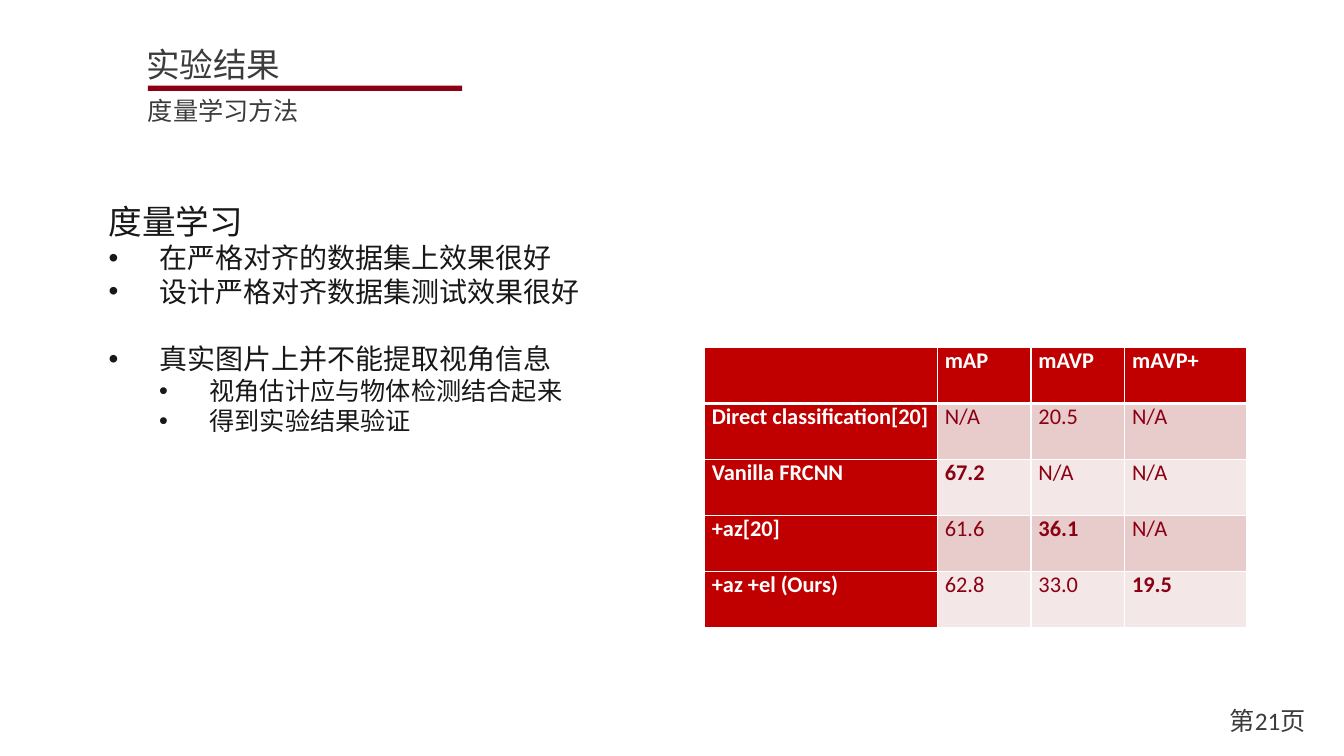
from dataclasses import dataclass

from lxml.etree import SubElement
from pptx import Presentation
from pptx.dml.color import RGBColor as RGB
from pptx.enum.shapes import MSO_SHAPE as Shape
from pptx.enum.text import MSO_ANCHOR as Anchor, MSO_AUTO_SIZE as AutoSize, PP_ALIGN as Align
from pptx.oxml import parse_xml
from pptx.oxml.ns import nsdecls, qn
from pptx.util import Cm, Pt

TITLE = "实验结果"
SUBTITLE = "度量学习方法"
PAGE = "第21页"
HEADING = "度量学习"
BULLETS = [
    (0, 0, "在严格对齐的数据集上效果很好"),
    (0, 0, "设计严格对齐数据集测试效果很好"),
    (0, 24, "真实图片上并不能提取视角信息"),
    (1, 0, "视角估计应与物体检测结合起来"),
    (1, 0, "得到实验结果验证"),
]
RESULTS = [
    ["", "mAP", "mAVP", "mAVP+"],
    ["Direct classification[20]", "N/A", "20.5", "N/A"],
    ["Vanilla FRCNN", "67.2", "N/A", "N/A"],
    ["+az[20]", "61.6", "36.1", "N/A"],
    ["+az +el (Ours)", "62.8", "33.0", "19.5"],
]
BEST = {"67.2", "36.1", "19.5"}
COL_WIDTHS = [5.87, 2.36, 2.36, 3.07]
ROW_HEIGHT = 1.41
INDENT = 1.27


@dataclass(frozen=True)
class Theme:
    """Colours, fonts and type sizes of the slide."""
    grey: str = "3C3C3C"
    ink: str = "181818"
    crimson: str = "8B0012"
    red: str = "C00000"
    white: str = "FFFFFF"
    bands: tuple = ("F4E7E7", "E8CCCC")
    cjk: str = "Noto Sans CJK SC"
    body: str = "Arial"
    latin: str = "Calibri"
    title: int = 24
    bullet: int = 20
    small: int = 18
    cell: int = 16


T = Theme()


def add_run(p, text, size, font, color, bold=False):
    """Append one formatted run to a paragraph."""
    r = p.add_run()
    r.text = text
    r.font.size, r.font.bold = Pt(size), bold
    r.font.color.rgb = RGB.from_string(color)
    r.font.name = font
    SubElement(r.font._element, qn("a:ea")).set("typeface", T.cjk)


def add_box(s, left, top, width, height):
    """Add a wrapping text box and return its text frame."""
    tf = s.shapes.add_textbox(Cm(left), Cm(top), Cm(width), Cm(height)).text_frame
    tf.word_wrap = True
    return tf


def add_heading(s):
    """Place the title, the bar under it and the subtitle."""
    sp = s.shapes.title
    sp.left, sp.top, sp.width, sp.height = Cm(3.43), Cm(0.99), Cm(18.24), Cm(1.27)
    tf = sp.text_frame
    tf.auto_size, tf.vertical_anchor = AutoSize.NONE, Anchor.TOP
    p = tf.paragraphs[0]
    p.alignment, p.line_spacing, p.space_before = Align.LEFT, 1.0, Pt(0)
    add_run(p, TITLE, T.title, T.cjk, T.grey)

    bar = s.shapes.add_shape(Shape.RECTANGLE, Cm(3.73), Cm(2.16), Cm(7.92), Cm(0.13))
    bar.shadow.inherit = False
    bar.fill.solid()
    bar.fill.fore_color.rgb = RGB.from_string(T.crimson)
    bar.line.fill.background()

    tf = add_box(s, 3.48, 2.29, 18.24, 1.02)
    add_run(tf.paragraphs[0], SUBTITLE, T.small, T.cjk, T.grey)


def add_body(s):
    """Place the heading with its two-level bullets."""
    tf = add_box(s, 2.49, 4.93, 28.83, 6.25)
    add_run(tf.paragraphs[0], HEADING, T.title, T.body, T.ink)
    for level, gap, text in BULLETS:
        p = tf.add_paragraph()
        p.level, p.space_before = level, Pt(gap)
        pPr = p._p.get_or_add_pPr()
        pPr.set("marL", str(Cm(INDENT * (level + 1))))
        pPr.set("indent", str(-Cm(INDENT)))
        SubElement(pPr, qn("a:buFont")).set("typeface", T.body)
        SubElement(pPr, qn("a:buChar")).set("char", "•")
        add_run(p, text, T.small if level else T.bullet, T.body, T.ink)


def set_borders(cell, top, bottom):
    """Draw white cell borders with the given top and bottom widths."""
    tcPr = cell._tc.get_or_add_tcPr()
    for i, (side, width) in enumerate(zip("LRTB", (1, 1, top, bottom))):
        tcPr.insert(i, parse_xml(
            f'<a:ln{side} {nsdecls("a")} w="{Pt(width)}"><a:solidFill>'
            f'<a:srgbClr val="{T.white}"/></a:solidFill></a:ln{side}>'))


def add_results(s):
    """Place the results table."""
    table = s.shapes.add_table(
        len(RESULTS), len(COL_WIDTHS), Cm(17.75), Cm(8.76),
        Cm(sum(COL_WIDTHS)), Cm(ROW_HEIGHT * len(RESULTS))).table
    for col, width in zip(table.columns, COL_WIDTHS):
        col.width = Cm(width)
    for i, row in enumerate(RESULTS):
        table.rows[i].height = Cm(ROW_HEIGHT)
        for j, text in enumerate(row):
            cell = table.cell(i, j)
            head = i == 0 or j == 0
            cell.margin_left = cell.margin_right = Cm(0.19)
            cell.margin_top = cell.margin_bottom = 0
            cell.fill.solid()
            cell.fill.fore_color.rgb = RGB.from_string(T.red if head else T.bands[i % 2])
            set_borders(cell, 3 if i == 1 else 1, 3 if i == 0 else 1)
            if text:
                p = cell.text_frame.paragraphs[0]
                p.alignment = Align.JUSTIFY
                add_run(p, text, T.cell, T.latin, T.white if head else T.crimson,
                        head or text in BEST)


def add_page_number(s):
    """Place the page number at the bottom right."""
    tf = add_box(s, 29.16, 17.65, 3.99, 1.02)
    tf.vertical_anchor = Anchor.MIDDLE
    p = tf.paragraphs[0]
    p.alignment = Align.RIGHT
    add_run(p, PAGE, T.small, T.latin, T.grey)


def main():
    """Build the slide and save it."""
    prs = Presentation()
    prs.slide_width, prs.slide_height = Cm(33.87), Cm(19.05)
    s = prs.slides.add_slide(prs.slide_layouts[5])
    add_heading(s)
    add_body(s)
    add_results(s)
    add_page_number(s)
    prs.save("out.pptx")


if __name__ == "__main__":
    main()
